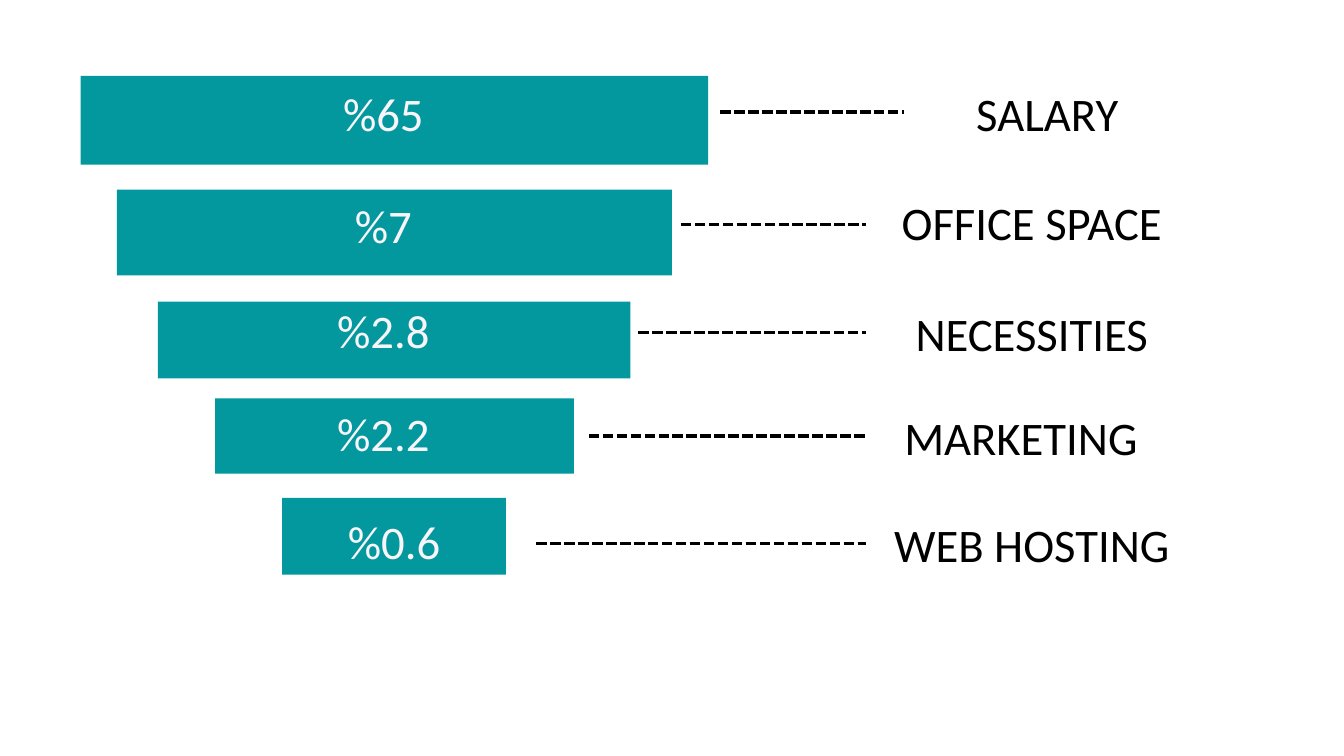
from lxml import etree
from pptx import Presentation
from pptx.dml.color import RGBColor
from pptx.enum.dml import MSO_LINE
from pptx.enum.shapes import MSO_CONNECTOR, MSO_SHAPE
from pptx.enum.text import MSO_ANCHOR, MSO_AUTO_SIZE, PP_ALIGN
from pptx.oxml.ns import qn
from pptx.util import Emu, Pt

RECTANGLE = MSO_SHAPE.RECTANGLE
STRAIGHT = MSO_CONNECTOR.STRAIGHT
SHORT_DASH = MSO_LINE.SQUARE_DOT
CENTER = PP_ALIGN.CENTER
TOP = MSO_ANCHOR.TOP
FIT_SHAPE = MSO_AUTO_SIZE.SHAPE_TO_FIT_TEXT

TEAL = RGBColor(0x03, 0x98, 0x9E)
BLACK = RGBColor(0x00, 0x00, 0x00)
PALE = RGBColor(0xF7, 0xF4, 0xFA)

EMU_PER_PX = 9144  # 100 px to the inch
WIDTH, HEIGHT = 2000, 1125
TEXT_HEIGHT = 73
VALUE_WIDTH = 819


def px(n):
    return Emu(n * EMU_PER_PX)


class FunnelSlide:
    font = {"name": "Calibri", "size": Pt(50)}
    frame = {
        "margin_left": 0, "margin_top": 0, "margin_right": 0, "margin_bottom": 0,
        "word_wrap": True, "auto_size": FIT_SHAPE, "vertical_anchor": TOP,
    }
    paragraph = {"alignment": CENTER, "line_spacing": Pt(50)}
    dash = {"width": Pt(3.75), "dash_style": SHORT_DASH}

    def __init__(self, slide):
        self.s = slide

    @staticmethod
    def apply(target, values):
        for name, value in values.items():
            setattr(target, name, value)

    def bar(self, x, y, w, h):
        sp = self.s.shapes.add_shape(RECTANGLE, px(x), px(y), px(w), px(h))
        sp.shadow.inherit = False
        sp.fill.solid()
        sp.fill.fore_color.rgb = TEAL
        sp.line.fill.background()

    def text(self, content, x, y, w, color):
        sp = self.s.shapes.add_textbox(px(x), px(y), px(w), px(TEXT_HEIGHT))
        tf = sp.text_frame
        self.apply(tf, self.frame)
        p = tf.paragraphs[0]
        self.apply(p, self.paragraph)
        r = p.add_run()
        r.text = content
        self.apply(r.font, self.font)
        r.font.color.rgb = color

    def leader(self, x1, x2, y):
        c = self.s.shapes.add_connector(STRAIGHT, px(x1), px(y), px(x2), px(y))
        c.line.color.rgb = BLACK
        self.apply(c.line, self.dash)
        etree.SubElement(c._element.spPr, qn("a:effectLst"))


# Each level: bar box, value (text, x, y), leader (x1, x2, y), label (text, x, y, w)
LEVELS = [
    ((120, 113, 934, 132), ("%65", 161, 140), (1072, 1345, 167),
     ("SALARY", 1149, 140, 819)),
    ((174, 282, 826, 128), ("%7", 161, 307), (1013, 1289, 334),
     ("OFFICE SPACE", 1208, 302, 655)),
    ((235, 449, 703, 114), ("%2.8", 161, 463), (950, 1289, 495),
     ("NECESSITIES", 1192, 468, 687)),
    ((320, 593, 534, 112), ("%2.2", 161, 617), (876, 1289, 649),
     ("MARKETING", 1176, 622, 687)),
    ((420, 741, 333, 114), ("%0.6", 177, 777), (798, 1289, 809),
     ("WEB HOSTING", 1126, 782, 819)),
]


def main():
    prs = Presentation()
    prs.slide_width, prs.slide_height = px(WIDTH), px(HEIGHT)
    funnel = FunnelSlide(prs.slides.add_slide(prs.slide_layouts[6]))

    # Funnel levels, widest first
    for bar, value, leader, label in LEVELS:
        funnel.bar(*bar)
        funnel.text(*value, VALUE_WIDTH, PALE)
        funnel.leader(*leader)
        funnel.text(*label, BLACK)

    prs.save("out.pptx")


if __name__ == "__main__":
    main()
